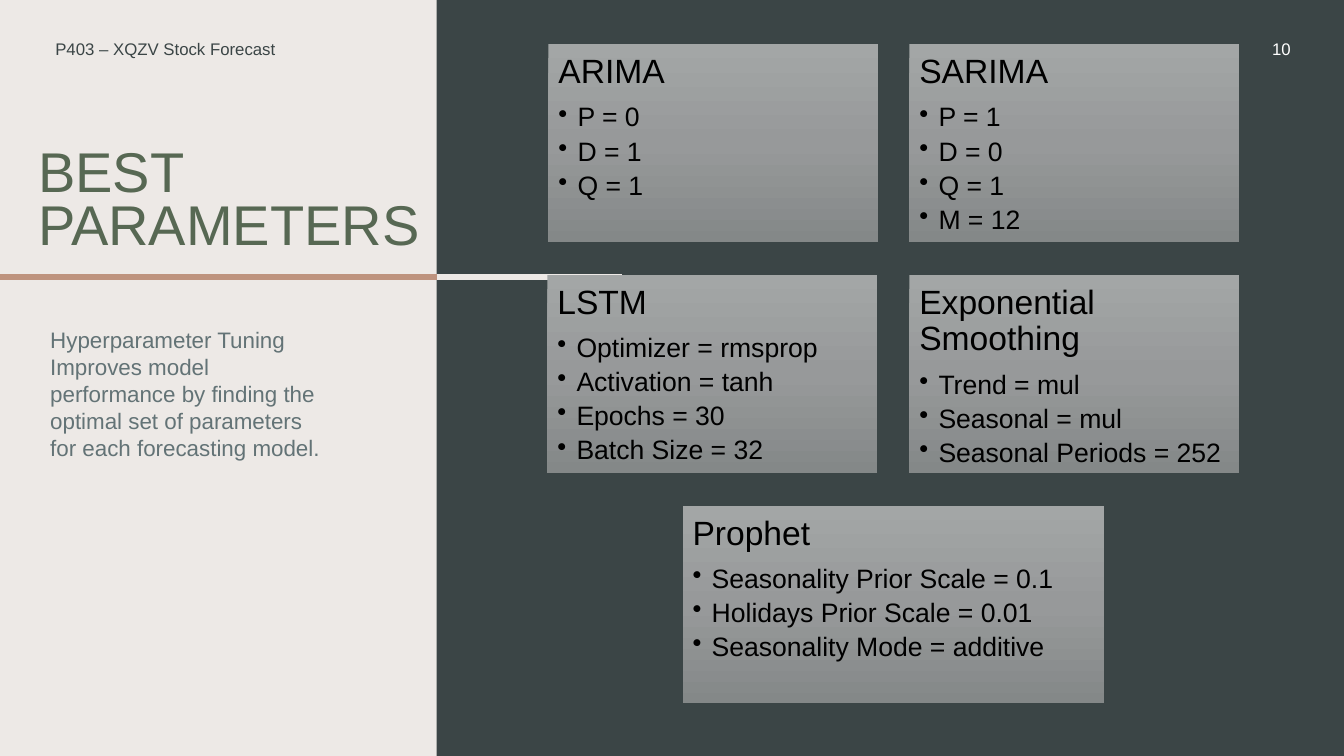
"""Build the best-parameters slide of the stock forecast deck."""
from copy import deepcopy
from dataclasses import dataclass

from lxml import etree
from pptx import Presentation
from pptx import util as u
from pptx.dml.color import RGBColor
from pptx.enum import shapes, text
from pptx.oxml import ns
from pptx.slide import Slide

FONT = "Arial"
SAND = RGBColor(0xED, 0xE9, 0xE6)
SLATE = RGBColor(0x3B, 0x45, 0x46)
CLAY = RGBColor(0xBE, 0x93, 0x7E)
GREEN = RGBColor(0x57, 0x68, 0x53)
GREY = RGBColor(0x63, 0x73, 0x76)
WHITE = RGBColor(0xFF, 0xFF, 0xFF)
BLACK = RGBColor(0, 0, 0)
CARD_STOPS = (
    (0, RGBColor(0xA3, 0xA6, 0xA6)),
    (0.5, RGBColor(0x97, 0x99, 0x9A)),
    (1, RGBColor(0x84, 0x88, 0x88)),
)

PANEL_LEFT = 4.33
RULE_TOP = 2.75
CARD_TOP, CARD_HEIGHT, ROW_STEP = 0.44, 1.96, 2.29
BULLET_INDENT = 0.19


@dataclass
class Label:
    wording: str
    left: float
    top: float
    width: float
    height: float
    size: float
    color: RGBColor
    anchor: text.MSO_ANCHOR = text.MSO_ANCHOR.TOP
    align: text.PP_ALIGN = text.PP_ALIGN.LEFT
    spacing: float = 1.0


@dataclass
class ModelCard:
    model: str
    parameters: tuple[str, ...]
    row: int
    left: float
    width: float = 3.27


@dataclass
class Rule:
    start: float
    end: float
    color: RGBColor


LABELS = (
    Label("P403 – XQZV Stock Forecast", 0.45, 0.33, 2.73, 0.3, 12, SLATE,
          anchor=text.MSO_ANCHOR.MIDDLE),
    Label("10", 11.07, 0.33, 1.83, 0.3, 12, WHITE,
          anchor=text.MSO_ANCHOR.MIDDLE, align=text.PP_ALIGN.RIGHT),
    Label("BEST PARAMETERS", 0.28, 1.43, 4.54, 1.76, 40, GREEN, spacing=0.8),
    Label("Hyperparameter Tuning Improves model performance by finding the "
          "optimal set of parameters for each forecasting model.",
          0.4, 3.19, 3, 3.85, 16, GREY),
)

CARDS = (
    ModelCard("ARIMA", ("P = 0", "D = 1", "Q = 1"), 0, 5.44),
    ModelCard("SARIMA", ("P = 1", "D = 0", "Q = 1", "M = 12"), 0, 9.02),
    ModelCard("LSTM", ("Optimizer = rmsprop", "Activation = tanh",
                       "Epochs = 30", "Batch Size = 32"), 1, 5.43),
    ModelCard("Exponential Smoothing", ("Trend = mul", "Seasonal = mul",
                                        "Seasonal Periods = 252"), 1, 9.02),
    ModelCard("Prophet", ("Seasonality Prior Scale = 0.1",
                          "Holidays Prior Scale = 0.01",
                          "Seasonality Mode = additive"), 2, 6.77, 4.18),
)

RULES = (Rule(0, PANEL_LEFT, CLAY), Rule(PANEL_LEFT, 6.17, SAND))


def style_para(para, size: float, color: RGBColor, spacing: float,
               align: text.PP_ALIGN = text.PP_ALIGN.LEFT) -> None:
    """Set the alignment, line spacing and font of a paragraph."""
    para.alignment = align
    para.line_spacing = spacing
    for span in para.runs:
        span.font.name = FONT
        span.font.size = u.Pt(size)
        span.font.color.rgb = color


def add_bullet(para) -> None:
    """Give a paragraph a hanging bullet."""
    para.level = 1
    properties = para._p.get_or_add_pPr()
    properties.set("marL", str(u.Inches(BULLET_INDENT)))
    properties.set("indent", str(-u.Inches(BULLET_INDENT)))
    etree.SubElement(properties, ns.qn("a:buChar")).set("char", "•")


def draw_rectangle(page: Slide, left: float, top: float, width: float, height: float):
    """Add a rectangle with neither outline nor shadow."""
    box = page.shapes.add_shape(shapes.MSO_SHAPE.RECTANGLE, u.Inches(left),
                                u.Inches(top), u.Inches(width), u.Inches(height))
    box.shadow.inherit = False
    box.line.fill.background()
    return box


def draw_rule(page: Slide, rule: Rule) -> None:
    """Add one thick horizontal line."""
    line = page.shapes.add_connector(
        shapes.MSO_CONNECTOR.STRAIGHT, u.Inches(rule.start), u.Inches(RULE_TOP),
        u.Inches(rule.end), u.Inches(RULE_TOP))
    line.line.color.rgb = rule.color
    line.line.width = u.Pt(4.5)
    etree.SubElement(line._element.spPr, ns.qn("a:effectLst"))


def draw_label(page: Slide, label: Label) -> None:
    """Add a wrapped text box."""
    box = page.shapes.add_textbox(u.Inches(label.left), u.Inches(label.top),
                                  u.Inches(label.width), u.Inches(label.height))
    frame = box.text_frame
    frame.word_wrap = True
    frame.vertical_anchor = label.anchor
    frame.text = label.wording
    style_para(frame.paragraphs[0], label.size, label.color, label.spacing, label.align)


def fill_card(box) -> None:
    """Shade a card from light at the top to dark at the bottom."""
    box.fill.gradient()
    box.fill.gradient_angle = 270
    stop_list = box._element.spPr.find(".//" + ns.qn("a:gsLst"))
    stop_list.insert(1, deepcopy(stop_list[0]))
    for stop, (position, color) in zip(box.fill.gradient_stops, CARD_STOPS):
        stop.position = position
        stop.color.rgb = color


def draw_card(page: Slide, card: ModelCard) -> None:
    """Add a model card with its heading and parameter bullets."""
    box = draw_rectangle(page, card.left, CARD_TOP + card.row * ROW_STEP,
                         card.width, CARD_HEIGHT)
    fill_card(box)
    frame = box.text_frame
    frame.word_wrap = True
    frame.vertical_anchor = text.MSO_ANCHOR.TOP
    frame.margin_left = frame.margin_right = u.Inches(0.1)
    frame.margin_top = frame.margin_bottom = u.Inches(0.1)
    frame.text = "\n".join((card.model, *card.parameters))
    heading, *bullets = frame.paragraphs
    style_para(heading, 24, BLACK, 0.9)
    heading.space_after = u.Pt(9.5)
    for para in bullets:
        style_para(para, 19, BLACK, 0.9)
        para.space_after = u.Pt(3.8)
        add_bullet(para)


def main() -> None:
    """Build and save the deck."""
    deck = Presentation()
    deck.slide_width, deck.slide_height = u.Inches(13.33), u.Inches(7.5)
    page = deck.slides.add_slide(deck.slide_layouts[6])
    page.background.fill.solid()
    page.background.fill.fore_color.rgb = SAND
    panel = draw_rectangle(page, PANEL_LEFT, 0, 9, 7.5)
    panel.fill.solid()
    panel.fill.fore_color.rgb = SLATE
    for rule in RULES:
        draw_rule(page, rule)
    for label in LABELS:
        draw_label(page, label)
    for card in CARDS:
        draw_card(page, card)
    deck.save("out.pptx")


if __name__ == "__main__":
    main()
